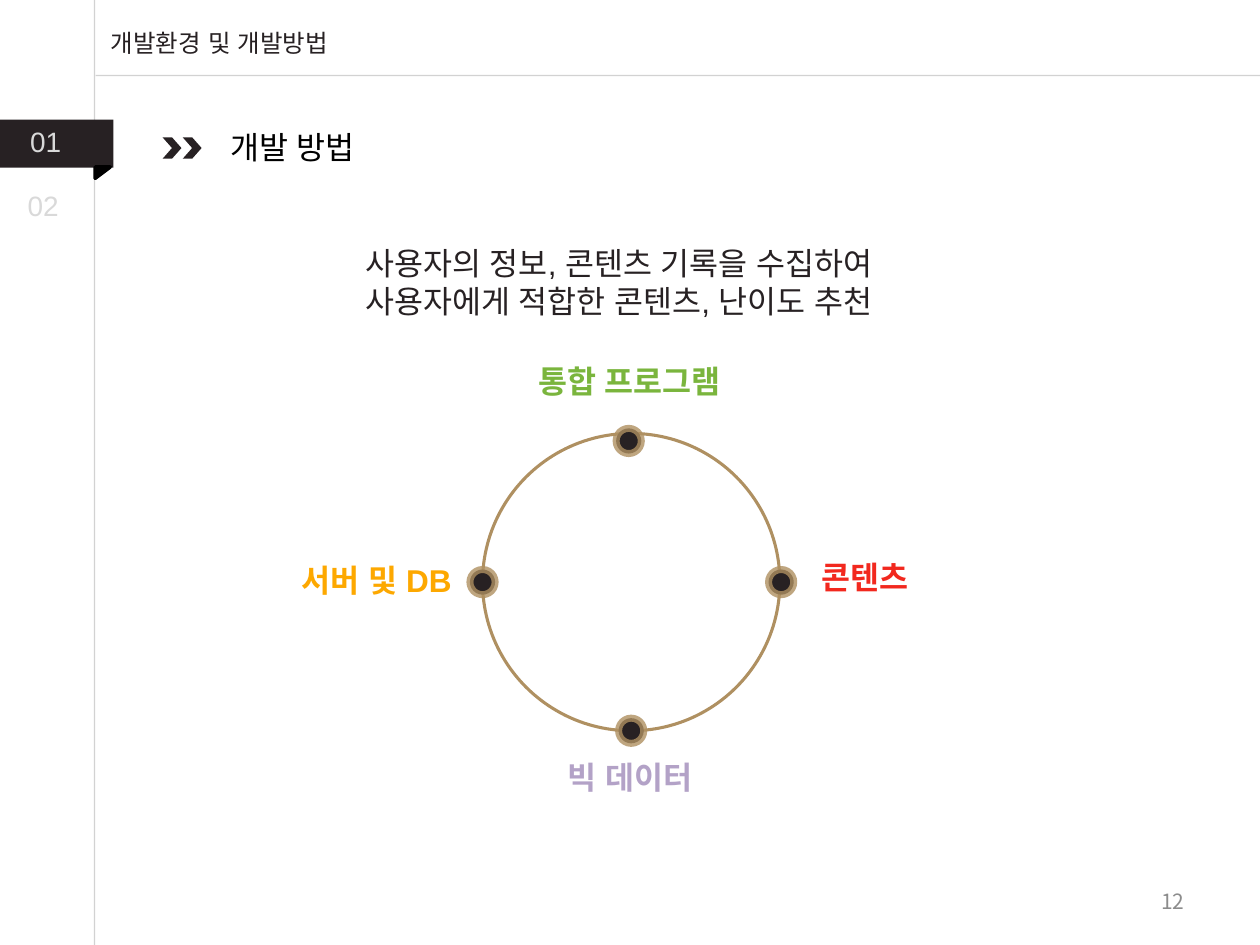
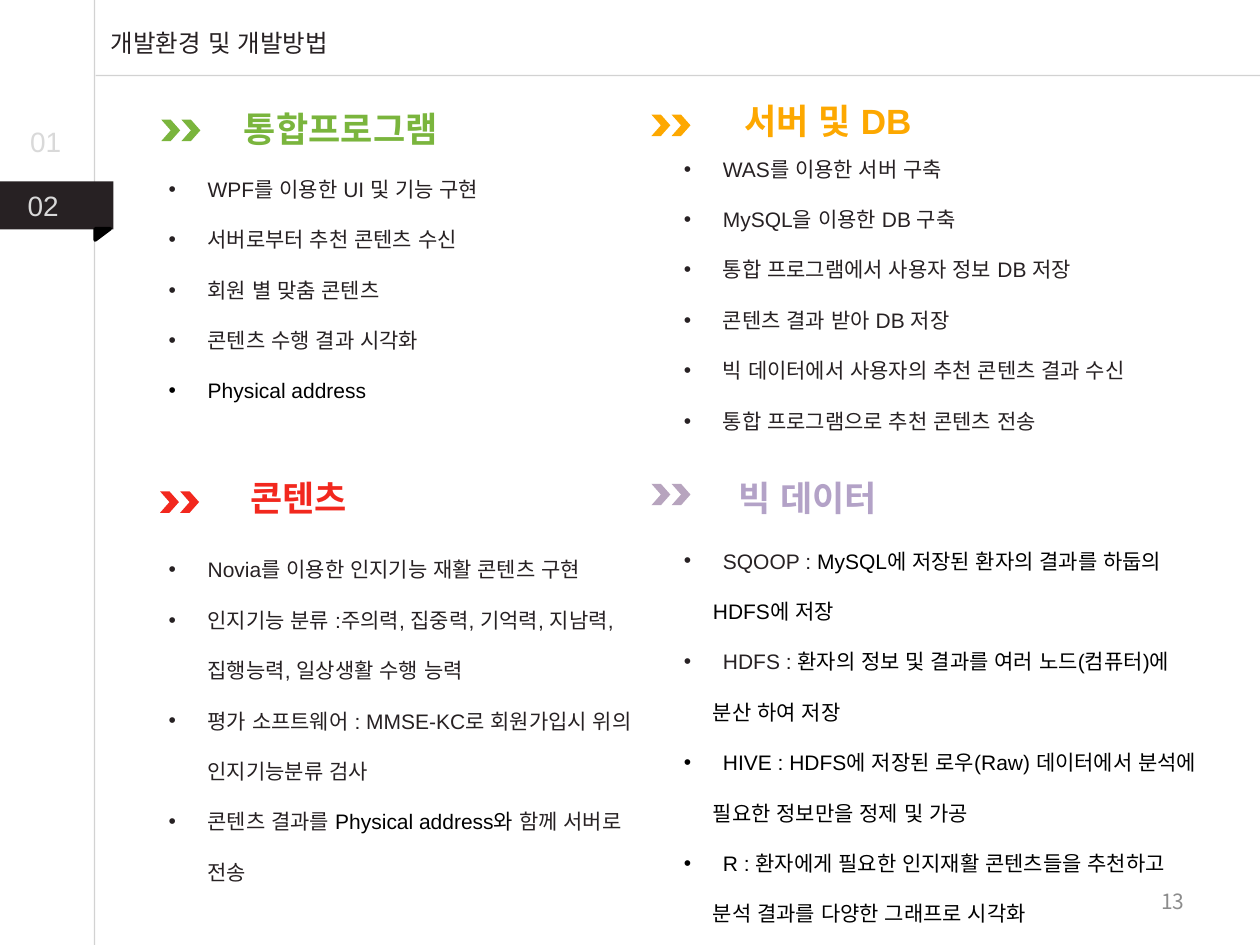
from dataclasses import dataclass
from lxml.etree import SubElement
from pptx import Presentation
from pptx.dml.color import RGBColor
from pptx.enum.shapes import MSO_CONNECTOR as CONN, MSO_SHAPE as SHAPE
from pptx.enum.text import MSO_ANCHOR as ANCHOR, PP_ALIGN as ALIGN
from pptx.oxml.ns import qn
from pptx.util import Inches, Pt


@dataclass(frozen=True)
class Theme:
    ink: str = "272123"
    black: str = "000000"
    rule: str = "A6A6A6"
    tab: str = "D9D9D9"
    number: str = "8C8C8C"
    gold: str = "AF9061"
    green: str = "7AB53D"
    orange: str = "FDA800"
    red: str = "F2281E"
    purple: str = "B3A2C7"
    mauve: str = "B7A4BE"
    latin: str = "Arial"
    korean: str = "Noto Sans CJK KR"
    body: int = 12
    header: int = 14
    tab_size: int = 16
    label: int = 18
    heading: int = 20
    leading: float = 1.2


T = Theme()


class Deck:
    """Holds the theme and the current slide, and draws each kind of element."""

    def __init__(self, theme):
        self.t = theme
        self.prs = Presentation()
        self.prs.slide_width, self.prs.slide_height = Inches(10), Inches(7.5)
        self.s = None

    def set_line(self, line, color, width, alpha=100):
        line.color.rgb = RGBColor.from_string(color)
        line.width = Pt(width)
        if alpha < 100:
            clr = line.fill._xPr.find(f".//{qn('a:srgbClr')}")
            SubElement(clr, qn("a:alpha"), val=str(alpha * 1000))

    def rule(self, x1, y1, x2, y2):
        c = self.s.shapes.add_connector(
            CONN.STRAIGHT, Inches(x1), Inches(y1), Inches(x2), Inches(y2))
        self.set_line(c.line, self.t.rule, 0.75, 50)
        SubElement(c._element.spPr, qn("a:effectLst"))

    def shape(self, kind, x, y, w, h, fill=None, line=None):
        sp = self.s.shapes.add_shape(kind, Inches(x), Inches(y), Inches(w), Inches(h))
        sp.shadow.inherit = False
        if fill:
            sp.fill.solid()
            sp.fill.fore_color.rgb = RGBColor.from_string(fill)
        else:
            sp.fill.background()
        if line:
            self.set_line(sp.line, *line)
        else:
            sp.line.fill.background()
        return sp

    def run(self, p, text, size, color, bold=False, latin=None):
        r = p.add_run()
        r.text = text
        r.font.size, r.font.bold = Pt(size), bold
        r.font.color.rgb = RGBColor.from_string(color)
        r.font.name = latin or self.t.latin
        SubElement(r._r.get_or_add_rPr(), qn("a:ea"), typeface=self.t.latin)

    def frame(self, x, y, w, h, anchor=ANCHOR.TOP):
        tf = self.s.shapes.add_textbox(Inches(x), Inches(y), Inches(w), Inches(h)).text_frame
        tf.word_wrap = True
        tf.margin_top, tf.margin_bottom = Inches(0.03), Inches(0.02)
        tf.vertical_anchor = anchor
        return tf

    def paragraph(self, tf, first, size, lines=1):
        p = tf.paragraphs[0] if first else tf.add_paragraph()
        p.line_spacing = Pt(size * self.t.leading * lines)
        return p

    def text(self, box, lines, size, color, bold=False, align=ALIGN.LEFT,
             latin=None, anchor=ANCHOR.TOP):
        tf = self.frame(*box, anchor)
        for i, line in enumerate(lines):
            p = self.paragraph(tf, i == 0, size)
            p.alignment = align
            self.run(p, line, size, color, bold, latin)

    def title(self, box, text, size, color):
        self.text(box, [text], size, color, True, ALIGN.CENTER)

    def bullets(self, box, items, spaced=False):
        """Draws items of (text, color) runs; a leading None marks a line without bullet."""
        tf = self.frame(*box)
        size = self.t.body
        for i, item in enumerate(items):
            p = self.paragraph(tf, i == 0, size, 1 if spaced else 2)
            if spaced and i:
                p.space_before = Pt(size * self.t.leading)
            bulleted = item[0] is not None
            pPr = p._p.get_or_add_pPr()
            pPr.set("marL", str(Inches(0.31 if bulleted else 0.23)))
            pPr.set("indent", str(Inches(-0.31 if bulleted else 0)))
            if bulleted:
                SubElement(pPr, qn("a:buFont"), typeface=self.t.latin)
                SubElement(pPr, qn("a:buChar"), char="•")
            for text, color in item if bulleted else item[1:]:
                self.run(p, text, size, color)

    def chevrons(self, x, y, color):
        for dx in (0.16, 0):
            self.shape(SHAPE.CHEVRON, x + dx, y, 0.15, 0.17, color)

    def dot(self, cx, cy):
        self.shape(SHAPE.OVAL, cx - 0.1, cy - 0.1, 0.2, 0.2, self.t.ink, (self.t.gold, 4, 80))

    def new_slide(self, tab_top, number):
        t = self.t
        self.s = self.prs.slides.add_slide(self.prs.slide_layouts[6])
        self.rule(0.75, 0, 0.75, 7.5)
        self.rule(10, 0.6, 0.76, 0.6)
        self.text((0.78, 0.19, 2.77, 0.34), ["개발환경 및 개발방법"], t.header, t.ink)
        self.shape(SHAPE.RECTANGLE, 0, tab_top, 0.9, 0.38, t.ink)
        fold = self.shape(SHAPE.RIGHT_TRIANGLE, 0.77, tab_top + 0.36, 0.09, 0.12,
                          t.black, (t.black, 2))
        fold.rotation = 90
        for x, y, label in ((0.14, 0.96, "01"), (0.12, 1.47, "02")):
            self.text((x, y, 0.59, 0.37), [label], t.tab_size, t.tab)
        self.text((7.17, 6.95, 2.33, 0.4), [number], t.body, t.number,
                  align=ALIGN.RIGHT, latin=t.korean, anchor=ANCHOR.MIDDLE)


def plain(*texts):
    return [[(text, T.ink)] for text in texts]


def method_slide(deck):
    deck.new_slide(0.95, "12")
    deck.chevrons(1.29, 1.09, T.ink)
    deck.text((1.73, 0.99, 1.5, 0.4), ["개발 방법"], T.label, T.black, latin=T.korean)
    deck.text((2.8, 1.91, 7, 0.71),
              ["사용자의 정보, 콘텐츠 기록을 수집하여", "사용자에게 적합한 콘텐츠, 난이도 추천"],
              T.label, T.ink)
    deck.shape(SHAPE.OVAL, 3.83, 3.44, 2.36, 2.36, line=(T.gold, 1.75))
    for cx, cy in ((4.99, 3.5), (3.83, 4.62), (6.2, 4.62), (5.01, 5.8)):
        deck.dot(cx, cy)
    for x, y, w, text, color in (
            (3.92, 2.84, 2.15, "통합 프로그램", T.green),
            (2.04, 4.42, 1.9, "서버 및 DB", T.orange),
            (6.21, 4.4, 1.31, "콘텐츠", T.red),
            (4.27, 5.99, 1.46, "빅 데이터", T.purple)):
        deck.title((x, y, w, 0.4), text, T.label, color)


def parts_slide(deck):
    deck.new_slide(1.44, "13")
    for cx, cy, mark, x, y, w, text, color in (
            (1.28, 0.95, T.green, 1.64, 0.82, 2.13, "통합프로그램", T.green),
            (5.17, 0.91, T.orange, 5.53, 0.76, 2.08, "서버 및 DB", T.orange),
            (1.27, 3.9, T.red, 1.63, 3.75, 1.48, "콘텐츠", T.red),
            (5.17, 3.84, T.mauve, 5.49, 3.75, 1.84, "빅 데이터", T.purple)):
        deck.chevrons(cx, cy, mark)
        deck.title((x, y, w, 0.44), text, T.heading, color)

    deck.bullets((1.24, 1.17, 4, 2.52), plain(
        "WPF를 이용한 UI 및 기능 구현",
        "서버로부터 추천 콘텐츠 수신",
        "회원 별 맞춤 콘텐츠",
        "콘텐츠 수행 결과 시각화") + [[("Physical address", T.black)]])
    deck.bullets((5.33, 1.21, 4.63, 2.32), plain(
        "WAS를 이용한 서버 구축",
        "MySQL을 이용한 DB 구축",
        "통합 프로그램에서 사용자 정보 DB 저장",
        "콘텐츠 결과 받아 DB 저장",
        "빅 데이터에서 사용자의 추천 콘텐츠 결과 수신",
        "통합 프로그램으로 추천 콘텐츠 전송"), spaced=True)
    deck.bullets((1.24, 4.19, 3.96, 3.27), plain(
        "Novia를 이용한 인지기능 재활 콘텐츠 구현",
        "인지기능 분류 :주의력, 집중력, 기억력, 지남력, 집행능력, 일상생활 수행 능력",
        "평가 소프트웨어 : MMSE-KC로 회원가입시 위의 인지기능분류 검사") + [
        [("콘텐츠 결과를 ", T.ink), ("Physical address와", T.black), (" 함께 서버로 전송", T.ink)]])
    tools = (
        ("SQOOP : ", T.ink, "MySQL에 저장된 환자의 결과를 하둡의", "HDFS에 저장"),
        ("HDFS : ", T.ink, "환자의 정보 및 결과를 여러 노드(컴퓨터)에", "분산 하여 저장"),
        ("HIVE : ", T.black, "HDFS에 저장된 로우(Raw) 데이터에서 분석에", "필요한 정보만을 정제 및 가공"),
        ("R : ", T.black, "환자에게 필요한 인지재활 콘텐츠들을 추천하고", "분석 결과를 다양한 그래프로 시각화"))
    items = []
    for name, color, start, rest in tools:
        items += [[(name, color), (start, T.black)], [None, (rest, T.black)]]
    deck.bullets((5.33, 4.12, 4.63, 3.33), items)


def main():
    deck = Deck(T)
    method_slide(deck)
    parts_slide(deck)
    deck.prs.save("out.pptx")


if __name__ == "__main__":
    main()
